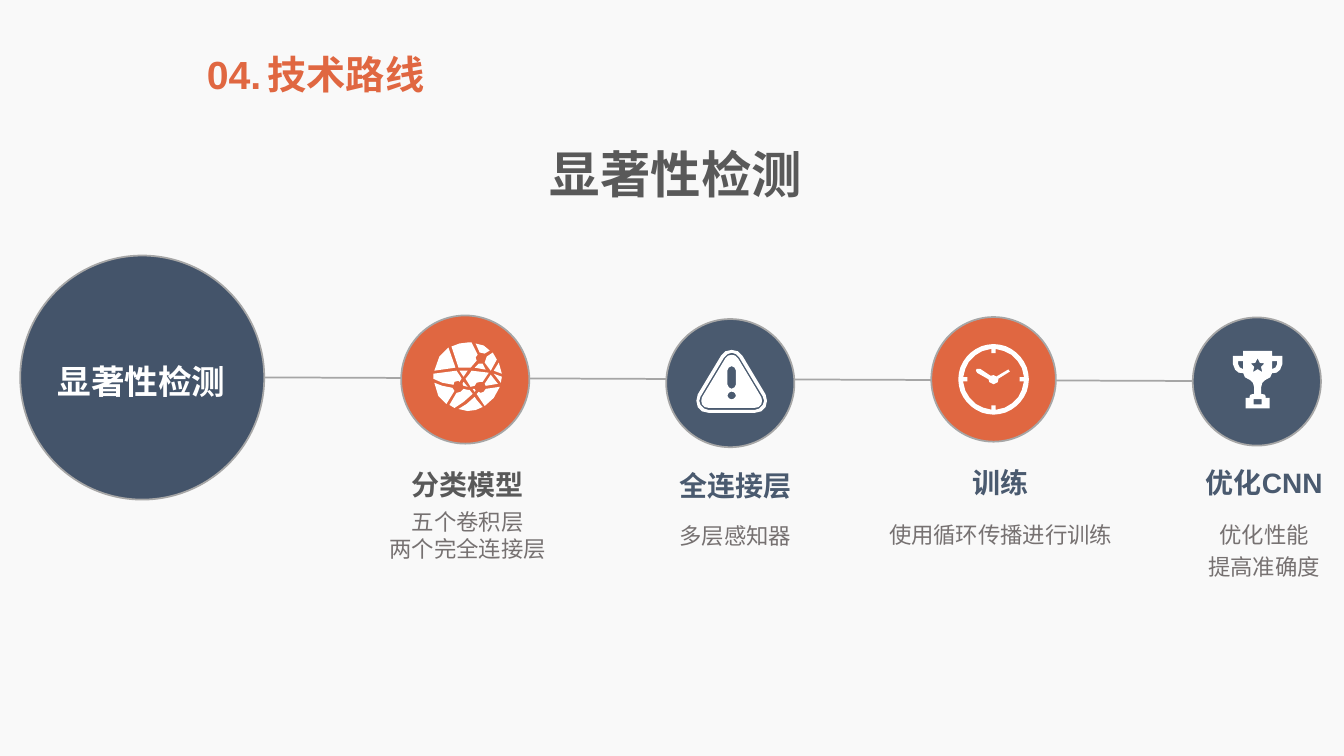
from math import cos, radians, sin

from lxml import etree
from pptx import Presentation
from pptx.dml.color import RGBColor
from pptx.enum import shapes, text
from pptx.oxml.ns import qn
from pptx.util import Cm, Pt

PAPER = RGBColor(0xF9, 0xF9, 0xF9)
WHITE = RGBColor(0xFF, 0xFF, 0xFF)
ORANGE = RGBColor(0xE0, 0x67, 0x41)
SLATE = RGBColor(0x4A, 0x5A, 0x6F)
NAVY = RGBColor(0x44, 0x54, 0x6A)
RULE = RGBColor(0xA6, 0xA6, 0xA6)
DARK = RGBColor(0x59, 0x59, 0x59)
GREY = RGBColor(0x76, 0x71, 0x71)

CENTER = text.PP_ALIGN.CENTER


def fill_shape(sp, color):
    sp.shadow.inherit = False
    sp.fill.solid()
    sp.fill.fore_color.rgb = color


def add_disc(slide, x, y, size, color):
    sp = slide.shapes.add_shape(shapes.MSO_SHAPE.OVAL, Cm(x), Cm(y), Cm(size), Cm(size))
    fill_shape(sp, color)
    sp.line.color.rgb = RULE
    sp.line.width = Pt(1.25)


def add_text(slide, x, y, w, h, lines, size, color, bold=False, spacing=1.0, wrap=True):
    tf = slide.shapes.add_textbox(Cm(x), Cm(y), Cm(w), Cm(h)).text_frame
    tf.word_wrap = wrap
    tf.text = lines
    for p in tf.paragraphs:
        p.alignment = CENTER
        p.line_spacing = spacing
        for r in p.runs:
            r.font.name = "Arial"
            r.font.size = Pt(size)
            r.font.bold = bold
            r.font.color.rgb = color


def add_icon(slide, x, y, unit, contours):
    """Draw contours as one white outline; inner contours become holes."""
    first, *others = contours
    fb = slide.shapes.build_freeform(*first[0], scale=Cm(unit))
    fb.add_line_segments(first[1:])
    for contour in others:
        fb.move_to(*contour[0])
        fb.add_line_segments(contour[1:])
    sp = fb.convert_to_shape(Cm(x), Cm(y))
    fill_shape(sp, WHITE)
    sp.line.fill.background()


def arc(cx, cy, radius, start, end, step):
    return [(cx + radius * cos(radians(a)), cy + radius * sin(radians(a)))
            for a in range(start, end + 1, step)]


def draw_globe(slide, x, y):
    add_icon(slide, x, y, 0.0254, [
        [(41, 54), (43, 57), (49, 64), (42, 67), (34, 68), (25, 66), (33, 61)],
        [(39, 46), (41, 46), (42, 48), (41, 49)],
        [(30, 46), (34, 47), (36, 47), (39, 51), (30, 59), (21, 65), (16, 62), (23, 50), (27, 49)],
        [(66, 44), (60, 55), (51, 63), (43, 51), (45, 49), (47, 50), (50, 49), (52, 46)],
        [(1, 40), (9, 43), (19, 45), (21, 48), (13, 61), (5, 53)],
        [(30, 39), (34, 44), (30, 43), (29, 41)],
        [(57, 32), (64, 41), (52, 43), (51, 41)],
        [(60, 31), (68, 34), (67, 40)],
        [(23, 28), (27, 34), (28, 36), (26, 39), (25, 38), (21, 39), (20, 42), (9, 40), (0, 36), (0, 31)],
        [(38, 28), (55, 30), (49, 39), (47, 39), (43, 40), (41, 43), (37, 44), (32, 36), (36, 31)],
        [(34, 28), (30, 34), (26, 28)],
        [(45, 21), (49, 21), (52, 27), (41, 25)],
        [(65, 20), (68, 31), (60, 28)],
        [(59, 10), (63, 17), (57, 28), (51, 20), (53, 14)],
        [(15, 5), (22, 25), (1, 28), (6, 14)],
        [(42, 1), (50, 3), (56, 8), (51, 11), (46, 10)],
        [(34, 0), (38, 0), (44, 12), (42, 15), (43, 18), (37, 25), (25, 25), (18, 4), (26, 1)],
    ])


def draw_warning(slide, x, y):
    triangles = [arc(50, 18, r, -150, -30, 30) + arc(83, 73, r, -30, 90, 30)
                 + arc(17, 73, r, 90, 210, 30) for r in (17.3, 12.9, 9.9)]
    bar = arc(50, 30, 5.5, -180, 0, 45) + arc(50, 50, 5.5, 0, 180, 45)
    add_icon(slide, x, y, 0.0178, triangles + [bar, arc(50, 65.5, 5.5, 0, 330, 30)])


def draw_clock(slide, x, y):
    dial = []
    for turn in (0, 90, 180, 270):
        # Notch for the tick, then the arc to the next one
        c, s = cos(radians(turn)), sin(radians(turn))
        dial += [(50 + 37 * c - dy * s, 50 + 37 * s + dy * c) for dy in (-3, 3)]
        dial += arc(50, 50, 43, turn + 4, turn + 86, 16)
        dial += arc(50, 50, 43, turn + 86, turn + 86, 1)
    hands = [(26, 35), (31, 35), (46, 45), (50, 44), (54, 46), (71, 36), (73, 39), (57, 49),
             (56, 54), (50, 57), (44, 54), (43, 50), (27, 41), (25, 38)]
    add_icon(slide, x, y, 0.0178, [arc(50, 50, 50, 0, 350, 10), dial, hands])


def draw_trophy(slide, x, y):
    mid = 43
    half = [(25, 0), (25, 9), (43, 9), (43, 23), (39, 33), (33, 38), (25, 39), (22, 46),
            (13, 51), (8, 56), (6, 64), (6, 75), (12, 76), (14, 79), (14, 82), (21, 82),
            (21, 100)]
    cup = [(mid + dx, py) for dx, py in half] + [(mid - dx, py) for dx, py in reversed(half)]
    handle = [(34, 18), (25, 18), (25, 32), (31, 29), (34, 23)]
    handles = [[(mid + side * dx, py) for dx, py in handle] for side in (-1, 1)]
    plate = [(mid - 7, 84), (mid + 7, 84), (mid + 7, 93), (mid - 7, 93)]
    tips, notches = arc(mid, 26, 13, -90, 198, 72), arc(mid, 26, 6, -54, 234, 72)
    star = [point for pair in zip(tips, notches) for point in pair]
    add_icon(slide, x, y, 0.0145, [cup, *handles, plate, star])


def add_header(slide, x, y):
    add_text(slide, x, y, 1.9, 1.45, "04.", 28, ORANGE, True, wrap=False)
    add_text(slide, x + 1.52, y, 4.5, 1.45, "技术路线", 28, ORANGE, True, wrap=False)


def add_start(slide, x, y, size):
    add_disc(slide, x, y, size, NAVY)
    add_text(slide, x + 0.34, y + 2.32, 5.43, 1.5, "显著性检测", 24, WHITE, True, 1.2)


def add_step(slide, x, y, size, step):
    add_disc(slide, x, y, size, step["disc"])
    dx, dy = step["icon_at"]
    step["icon"](slide, x + dx, y + dy)
    # Name and details share one column
    w = 6.22
    left = step["mid"] - w / 2
    add_text(slide, left, step["name_y"], w, 1.11, step["name"], 20, step["color"], True)
    add_text(slide, left, step["detail_y"], w, 1.07, step["detail"], 16, GREY,
             spacing=step.get("spacing", 1.2))


STEPS = [
    dict(box=(10.11, 7.95, 3.23), disc=ORANGE, icon=draw_globe, icon_at=(0.81, 0.68),
         mid=11.79, name="分类模型", name_y=11.66, color=DARK,
         detail="五个卷积层\n两个完全连接层", detail_y=12.68, spacing=1.0),
    dict(box=(16.79, 8.04, 3.23), disc=SLATE, icon=draw_warning, icon_at=(0.76, 0.76),
         mid=18.53, name="全连接层", name_y=11.68, color=SLATE,
         detail="多层感知器", detail_y=12.9),
    dict(box=(23.47, 7.99, 3.14), disc=ORANGE, icon=draw_clock, icon_at=(0.68, 0.68),
         mid=25.22, name="训练", name_y=11.61, color=SLATE,
         detail="使用循环传播进行训练", detail_y=12.87),
    dict(box=(30.06, 8, 3.23), disc=SLATE, icon=draw_trophy, icon_at=(1.01, 0.84),
         mid=31.86, name="优化CNN", name_y=11.61, color=SLATE,
         detail="优化性能\n提高准确度", detail_y=12.86),
]


def main():
    prs = Presentation()
    prs.slide_width, prs.slide_height = Cm(33.87), Cm(19.05)
    slide = prs.slides.add_slide(prs.slide_layouts[6])
    slide.background.fill.solid()
    slide.background.fill.fore_color.rgb = PAPER

    # Headings
    add_header(slide, 4.95, 1.14)
    add_text(slide, 9.86, 3.18, 14.35, 1.96, "显著性检测", 36, DARK, True, 1.2)

    # Line through the steps
    rule = slide.shapes.add_connector(shapes.MSO_CONNECTOR.STRAIGHT,
                                      Cm(6.65), Cm(9.51), Cm(32.61), Cm(9.61))
    rule.line.color.rgb = RULE
    rule.line.width = Pt(1.25)
    etree.SubElement(rule._element.spPr, qn("a:effectLst"))

    # Start and steps
    add_start(slide, 0.51, 6.44, 6.15)
    for step in STEPS:
        add_step(slide, *step["box"], step)

    prs.save("out.pptx")


if __name__ == "__main__":
    main()
